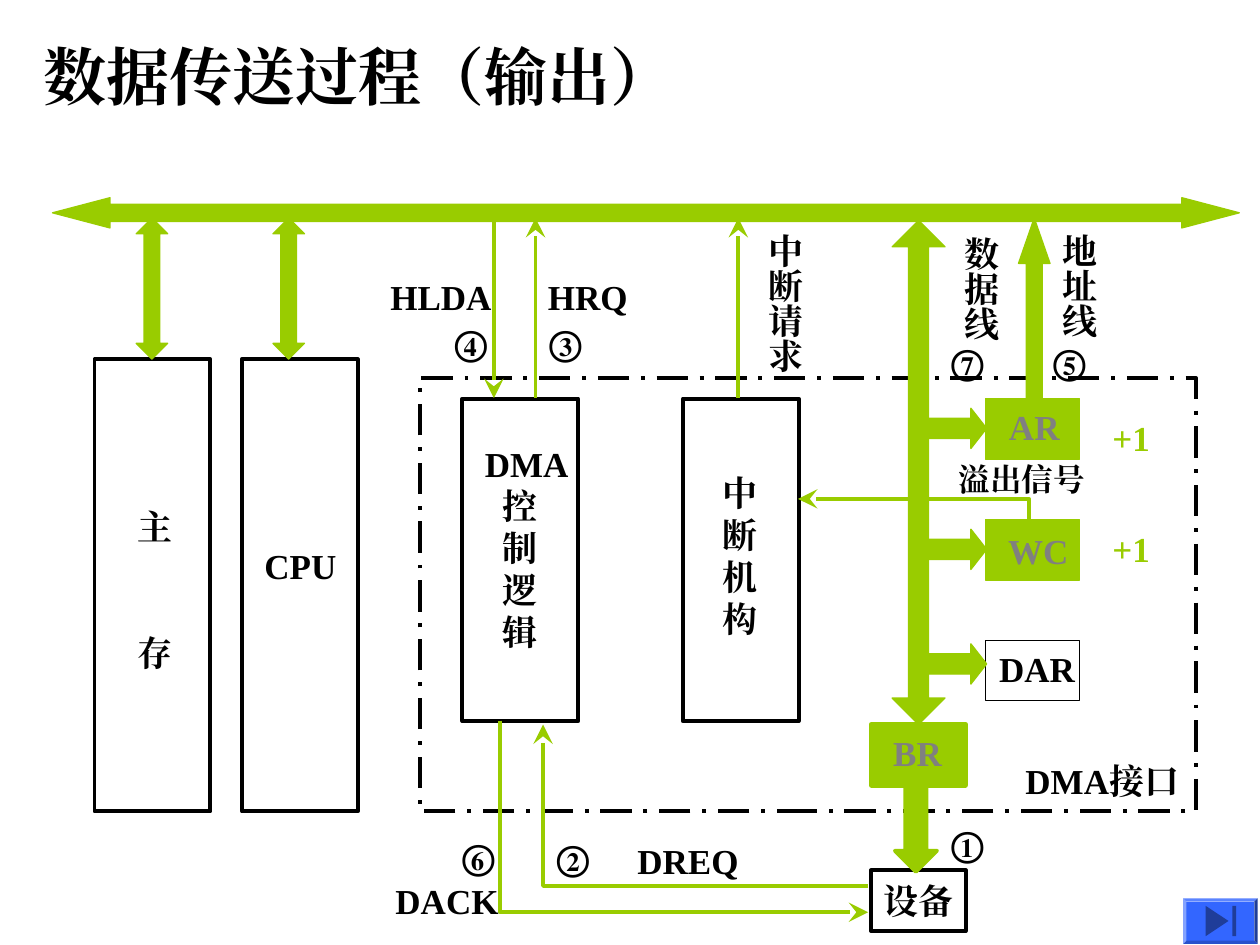
from lxml import etree
from pptx import Presentation
from pptx.dml.color import RGBColor
from pptx.enum import dml, lang, shapes, text
from pptx.oxml import ns
from pptx.util import Pt

BLACK = RGBColor(0x00, 0x00, 0x00)
GREEN = RGBColor(0x99, 0xCC, 0x00)
GRAY = RGBColor(0x80, 0x80, 0x80)
BLUE = RGBColor(0x33, 0x66, 0xFF)
NAVY = RGBColor(0x1F, 0x3D, 0x99)
FONT = "Times New Roman"
KIND = shapes.MSO_SHAPE
SPARE = 14  # room beside each label so that it stays on one line

prs = Presentation()
prs.slide_width, prs.slide_height = Pt(720), Pt(540)
slide = prs.slides.add_slide(prs.slide_layouts[6])


def write(words, left, top, width, height, size=20, color=BLACK,
          vertical=False, gap=0, indent=0):
    """Place bold text; gap and indent apply to every line after the first."""
    box_width = width if vertical else width + SPARE
    box = slide.shapes.add_textbox(Pt(left), Pt(top), Pt(box_width), Pt(height))
    frame = box.text_frame
    frame.word_wrap = not vertical
    frame.auto_size = text.MSO_AUTO_SIZE.SHAPE_TO_FIT_TEXT
    if vertical:
        box.element.txBody.bodyPr.set("vert", "eaVert")
        frame.margin_left = frame.margin_right = Pt(3.6)
        frame.margin_top = frame.margin_bottom = Pt(7.2)
    for index, line in enumerate(words.split("\n")):
        paragraph = frame.add_paragraph() if index else frame.paragraphs[0]
        if index:
            paragraph.space_before = Pt(gap)
            paragraph._p.get_or_add_pPr().set("marL", str(Pt(indent)))
        run = paragraph.add_run()
        run.text = line
        run.font.size, run.font.bold, run.font.name = Pt(size), True, FONT
        run.font.language_id = lang.MSO_LANGUAGE_ID.SIMPLIFIED_CHINESE
        run.font.color.rgb = color
        east_asian = etree.SubElement(run.font._element, ns.qn("a:ea"))
        east_asian.set("typeface", FONT)


def draw(kind, left, top, width, height, fill=None, line=None, weight=0.75, adjust=()):
    part = slide.shapes.add_shape(kind, Pt(left), Pt(top), Pt(width), Pt(height))
    part.shadow.inherit = False
    for index, value in enumerate(adjust):
        part.adjustments[index] = value
    if fill is None:
        part.fill.background()
    else:
        part.fill.solid()
        part.fill.fore_color.rgb = fill
    if line is None:
        part.line.fill.background()
    else:
        part.line.color.rgb = line
        part.line.width = Pt(weight)
    return part


# Outlined blocks
for left, top, width, height in [
    (54, 205.2, 66.2, 258.5),     # 主存
    (138.2, 205.2, 66.2, 258.5),  # CPU
    (264.2, 227.8, 66.2, 184.3),  # DMA 控制逻辑
    (390.2, 227.8, 66.2, 184.3),  # 中断机构
    (497.8, 497.3, 54, 34.8),     # 设备
]:
    draw(KIND.RECTANGLE, left, top, width, height, line=BLACK, weight=2.25)
draw(KIND.RECTANGLE, 563, 365.8, 54, 34.6, line=BLACK)
interface = draw(KIND.RECTANGLE, 240, 216, 443.5, 247.7, line=BLACK, weight=2.25)
interface.line.dash_style = dml.MSO_LINE.LONG_DASH_DOT

# Bus and block arrows; the up-down arrows take the head length first
for kind, left, top, width, height, adjust in [
    (KIND.LEFT_RIGHT_ARROW, 30, 113, 678.2, 17.3, (0.57, 1.9)),
    (KIND.UP_DOWN_ARROW, 77.8, 124.6, 18, 80.6, (0.89, 0.5)),
    (KIND.UP_DOWN_ARROW, 156, 124.6, 18, 80.6, (0.89, 0.5)),
    (KIND.UP_DOWN_ARROW, 509.8, 126, 30.2, 288, (0.7, 0.38)),
    (KIND.UP_ARROW, 582, 124.6, 18, 103.7, (0.5, 1.44)),
]:
    draw(kind, left, top, width, height, GREEN, GREEN, adjust=adjust)
for top in (233.3, 302.4, 367.9):
    draw(KIND.RIGHT_ARROW, 527.8, top, 36, 23, GREEN, GREEN, adjust=(0.5, 0.39))
draw(KIND.DOWN_ARROW, 511.4, 450, 24, 48.2, GREEN, GREEN, 2.25)

# Signal lines
signals = []
for x, start, end in [(306, 227.5, 124.6), (282.2, 124.6, 227.5), (421.9, 227.5, 124.6)]:
    signal = slide.shapes.add_connector(
        shapes.MSO_CONNECTOR.STRAIGHT, Pt(x), Pt(start), Pt(x), Pt(end))
    etree.SubElement(signal.element.spPr, ns.qn("a:effectLst"))
    signals.append(signal)
for start, *corners in [
    [(496.1, 506.2), (310.3, 506.2), (310.3, 414)],    # DREQ
    [(285.8, 411.8), (285.8, 521.3), (496.1, 521.3)],  # DACK
    [(588, 296.6), (588, 285.1), (456, 285.1)],        # 溢出信号
]:
    builder = slide.shapes.build_freeform(Pt(start[0]), Pt(start[1]))
    builder.add_line_segments([(Pt(x), Pt(y)) for x, y in corners], close=False)
    signal = builder.convert_to_shape()
    signal.fill.background()
    signal.shadow.inherit = False
    signals.append(signal)
for signal in signals:
    signal.line.color.rgb = GREEN
    signal.line.width = Pt(2.25)
    etree.SubElement(signal.line._get_or_add_ln(), ns.qn("a:tailEnd"),
                     type="stealth", w="lg", len="lg")

# Registers in use
for name, left, top, label_left, label_top, label_width, weight in [
    ("AR", 563, 227.8, 569.5, 228.2, 43.2, 0.75),
    ("WC", 563, 296.9, 569, 298.8, 49, 0.75),
    ("BR", 497.8, 414, 503.3, 414.7, 41.8, 3),
]:
    draw(KIND.RECTANGLE, left, top, 54, 34.6, GREEN, GREEN, weight)
    write(name, label_left, label_top, label_width, 31.7, color=GRAY)
for top in (234.7, 298.1):
    write("+1", 628.6, top, 36, 31.7, color=GREEN)

# Labels
write("数据传送过程（输出）", 18, 18, 450, 50.4, size=36)
write("主\n存", 71.3, 285.1, 34.6, 103.7, gap=48)
write("DMA\n控\n制\n逻\n辑", 270, 249.1, 61.9, 127.4, indent=10)
write("中\n断\n机\n构", 406, 265.7, 34.6, 103.7)
write("溢出信号", 540.7, 259.2, 86.4, 28.8, size=18)
for words, left, top, width in [
    ("CPU", 144, 307.4, 55.4),
    ("DAR", 563.8, 366.5, 57.6),
    ("设备", 497.5, 499, 54),
    ("DMA接口", 578.9, 430.6, 107.3),
    ("HLDA", 216, 154.1, 72),
    ("HRQ", 306, 154.1, 59.8),
    ("DREQ", 357.1, 475.9, 72),
    ("DACK", 218.9, 499, 73.4),
    ("①", 536.4, 466.6, 33.1),
    ("②", 311, 474.5, 33.1),
    ("③", 306.7, 180, 33.1),
    ("④", 252.7, 180, 33.1),
    ("⑤", 594.7, 190.8, 33.1),
    ("⑥", 257, 473.8, 33.1),
    ("⑦", 536.4, 190.8, 33.1),
]:
    write(words, left, top, width, 31.7)
for words, left, top, height in [
    ("中断请求", 426.2, 126.3, 87.8),
    ("数据线", 537.8, 127.8, 67.7),
    ("地址线", 594, 126.3, 67.7),
]:
    write(words, left, top, 38.2, height, vertical=True)

# Skip-to-end button
draw(KIND.BEVEL, 676.1, 513.4, 42.5, 25.9, BLUE, adjust=(0.07,))
end_mark = slide.shapes.build_freeform(Pt(689), Pt(517.7))
end_mark.add_line_segments([(Pt(702), Pt(526.3)), (Pt(689), Pt(535))])
triangle = end_mark.convert_to_shape()
triangle.shadow.inherit = False
triangle.fill.solid()
triangle.fill.fore_color.rgb = NAVY
triangle.line.fill.background()
draw(KIND.RECTANGLE, 704.2, 517.7, 2.2, 17.3, NAVY)

prs.save("out.pptx")
